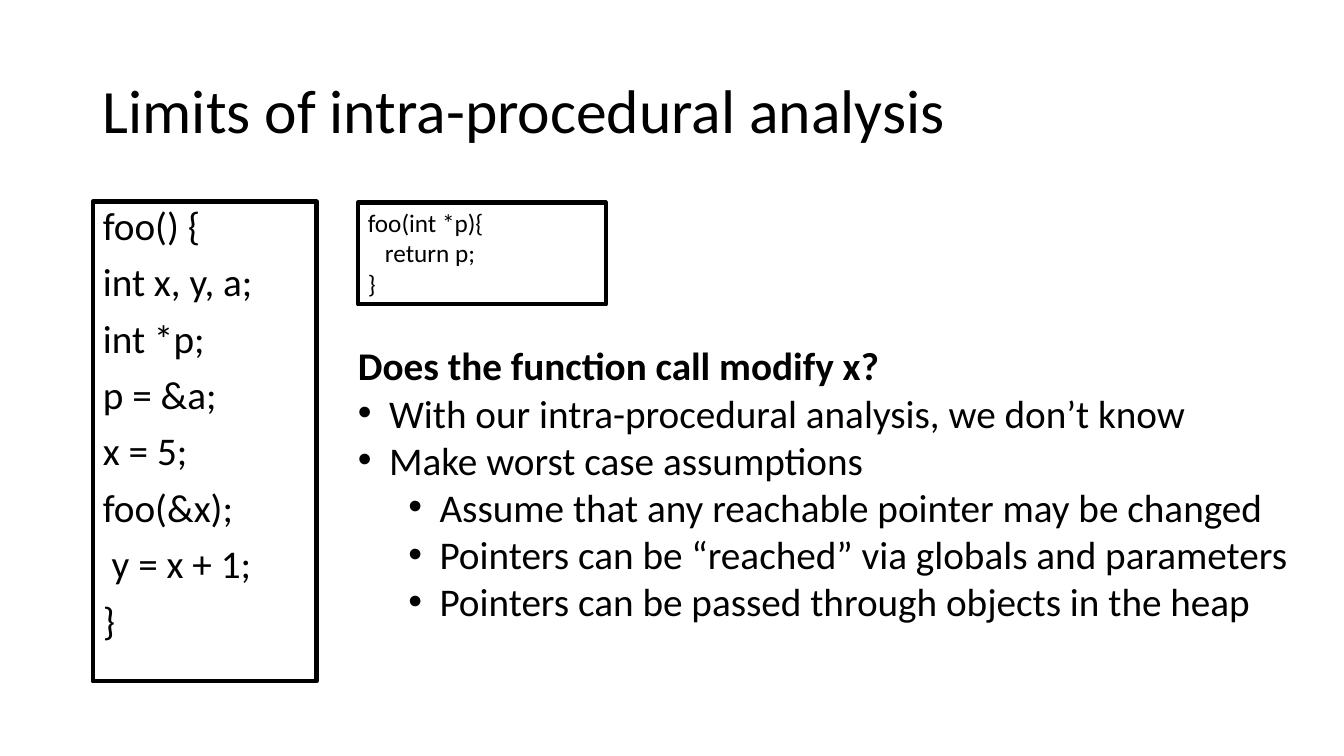
import dataclasses
import typing

import lxml.etree
import pptx
import pptx.dml.color
import pptx.enum.shapes
import pptx.enum.text
import pptx.oxml.ns
import pptx.util

Inches = pptx.util.Inches
Anchor = pptx.enum.text.MSO_ANCHOR


@dataclasses.dataclass(frozen=True)
class Theme:
    font: str = "Calibri"
    ink: pptx.dml.color.RGBColor = pptx.dml.color.RGBColor(0, 0, 0)
    title_size: int = 44
    body_size: int = 28
    small_size: int = 18
    outline: int = 3


@dataclasses.dataclass(frozen=True)
class Box:
    left: float
    top: float
    width: float
    height: float


@dataclasses.dataclass(frozen=True)
class Line:
    text: str
    bold: bool = False
    bullet: bool = False
    level: int = 0
    margin: float = 0


THEME = Theme()
HANGING = 0.31
LEVEL_STEP = 0.5

# Content
TITLE = [Line("Limits of intra-procedural analysis")]
CALLER = [Line(text) for text in (
    "foo() {", "int x, y, a;", "int *p;", "p = &a;",
    "x = 5;", "foo(&x);", " y = x + 1;", "}",
)]
CALLEE = [Line("foo(int *p){"), Line("return p;", margin=0.17), Line("}")]
DISCUSSION = [
    Line("Does the function call modify x?", bold=True),
    Line("With our intra-procedural analysis, we don’t know", bullet=True),
    Line("Make worst case assumptions", bullet=True),
    Line("Assume that any reachable pointer may be changed", bullet=True, level=1),
    Line("Pointers can be “reached” via globals and parameters", bullet=True, level=1),
    Line("Pointers can be passed through objects in the heap", bullet=True, level=1),
]


def place(shape: typing.Any, box: Box) -> None:
    shape.left, shape.top = Inches(box.left), Inches(box.top)
    shape.width, shape.height = Inches(box.width), Inches(box.height)


def outline(shape: typing.Any) -> None:
    shape.line.color.rgb = THEME.ink
    shape.line.width = pptx.util.Pt(THEME.outline)


def set_bullet(paragraph: typing.Any, line: Line) -> None:
    """Set the indents and show or hide the bullet."""
    qn = pptx.oxml.ns.qn
    properties = paragraph._p.get_or_add_pPr()
    hanging = HANGING if line.bullet else 0
    margin = line.margin + hanging + line.level * LEVEL_STEP
    properties.set("marL", str(Inches(margin)))
    properties.set("indent", str(-Inches(hanging)))
    if line.bullet:
        lxml.etree.SubElement(properties, qn("a:buFont"), typeface="Arial")
        lxml.etree.SubElement(properties, qn("a:buChar"), char="•")
    else:
        lxml.etree.SubElement(properties, qn("a:buNone"))


def write_text(shape: typing.Any, lines: list[Line], *, size: int,
               spacing: float = 1.0, before: int = 0,
               anchor: Anchor = Anchor.TOP) -> None:
    frame = shape.text_frame
    frame.word_wrap = True
    frame.auto_size = pptx.enum.text.MSO_AUTO_SIZE.NONE
    frame.vertical_anchor = anchor
    for index, line in enumerate(lines):
        paragraph = frame.add_paragraph() if index else frame.paragraphs[0]
        paragraph.alignment = pptx.enum.text.PP_ALIGN.LEFT
        paragraph.level = line.level
        paragraph.line_spacing = spacing
        paragraph.space_before = pptx.util.Pt(before)
        set_bullet(paragraph, line)
        run = paragraph.add_run()
        run.text = line.text
        run.font.name = THEME.font
        run.font.size = pptx.util.Pt(size)
        run.font.bold = line.bold
        run.font.color.rgb = THEME.ink


def main() -> None:
    presentation = pptx.Presentation()
    presentation.slide_width = Inches(13.33)
    presentation.slide_height = Inches(7.5)

    # Title and two content placeholders
    slide = presentation.slides.add_slide(presentation.slide_layouts[3])
    title, caller, discussion = slide.placeholders

    place(title, Box(0.92, 0.4, 11.5, 1.45))
    write_text(title, TITLE, size=THEME.title_size, spacing=0.9, anchor=Anchor.MIDDLE)

    # Calling code
    place(caller, Box(0.92, 2, 2.22, 4.76))
    outline(caller)
    write_text(caller, CALLER, size=THEME.body_size, spacing=0.9, before=10)

    # Called function
    callee = slide.shapes.add_shape(
        pptx.enum.shapes.MSO_SHAPE.RECTANGLE, 0, 0, 0, 0)
    place(callee, Box(3.55, 2.01, 2.46, 1.01))
    callee.shadow.inherit = False
    callee.fill.background()
    outline(callee)
    write_text(callee, CALLEE, size=THEME.small_size)

    # Discussion
    place(discussion, Box(3.45, 3.34, 9.5, 2.93))
    write_text(discussion, DISCUSSION, size=THEME.body_size)

    presentation.save("out.pptx")


if __name__ == "__main__":
    main()
